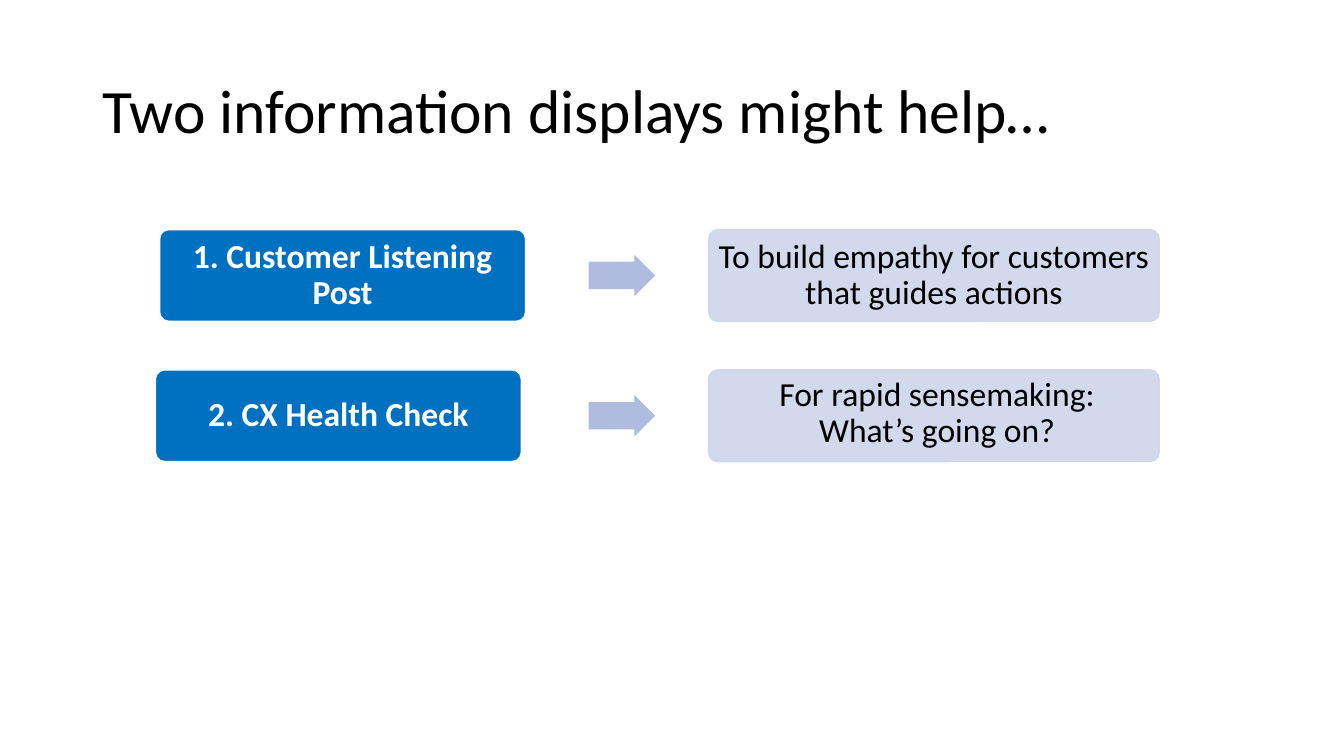
"""Build a slide pairing two information displays with their purposes."""
from dataclasses import dataclass

import pptx
import pptx.dml.color
import pptx.dml.fill
import pptx.enum.shapes
import pptx.enum.text
import pptx.oxml
import pptx.oxml.ns
import pptx.shapes.autoshape
import pptx.slide
import pptx.text.text
import pptx.util

Pt = pptx.util.Pt
RGBColor = pptx.dml.color.RGBColor
SHAPE = pptx.enum.shapes.MSO_SHAPE

BLACK = RGBColor(0x00, 0x00, 0x00)
WHITE = RGBColor(0xFF, 0xFF, 0xFF)
BLUE = RGBColor(0x00, 0x70, 0xC0)
LAVENDER = RGBColor(0xCF, 0xD5, 0xEA)
ARROW_BLUE = RGBColor(0xB0, 0xBC, 0xDE)

FONT = "Calibri"
FIRST_ROW_TOP = 164
ROW_STEP = 100.2
BOX_HEIGHT = 65.5
DISPLAY_WIDTH = 261.4
PURPOSE_LEFT, PURPOSE_WIDTH = 506.2, 321.8
ARROW_LEFT, ARROW_WIDTH, ARROW_HEIGHT = 420.5, 47.5, 29.5


@dataclass(frozen=True)
class BoxStyle:
    """Colours and weight of a rounded box."""

    fill: RGBColor
    line: RGBColor
    text: RGBColor
    bold: bool
    opacity: int


@dataclass(frozen=True)
class DisplayRow:
    """One information display and the purpose it serves."""

    display: str
    display_left: float
    purpose: str
    purpose_insets: tuple[float, float, float, float]


DISPLAY_STYLE = BoxStyle(BLUE, WHITE, WHITE, True, 100)
PURPOSE_STYLE = BoxStyle(LAVENDER, LAVENDER, BLACK, False, 90)
DISPLAY_INSETS = (2, 2, 2, 2)

ROWS = [
    DisplayRow("1. Customer Listening Post", 114,
               "To build empathy for customers that guides actions", (2, 0, 2, 0)),
    DisplayRow("2. CX Health Check", 111,
               "For rapid sensemaking: What’s going on?", (25.5, 0, 21, 3)),
]


def format_paragraph(para: pptx.text.text._Paragraph, size: float,
                     colour: RGBColor, bold: bool = False) -> None:
    """Apply the slide's font and line spacing to a paragraph."""
    para.line_spacing = 0.9
    for span in para.runs:
        span.font.name = FONT
        span.font.size = Pt(size)
        span.font.bold = bold
        span.font.color.rgb = colour


def set_opacity(shape: pptx.shapes.autoshape.Shape, percent: int) -> None:
    """Make the fill and line of a shape partly transparent."""
    for colour in shape._element.spPr.iter(pptx.oxml.ns.qn("a:srgbClr")):
        alpha = pptx.oxml.parse_xml(
            f'<a:alpha {pptx.oxml.ns.nsdecls("a")} val="{percent * 1000}"/>')
        colour.append(alpha)


def add_box(page: pptx.slide.Slide, left: float, top: float, width: float,
            text: str, insets: tuple[float, float, float, float],
            style: BoxStyle) -> None:
    """Draw a rounded box with centred text."""
    box = page.shapes.add_shape(SHAPE.ROUNDED_RECTANGLE, Pt(left), Pt(top),
                                Pt(width), Pt(BOX_HEIGHT))
    box.adjustments[0] = 0.1
    box.shadow.inherit = False
    box.fill.solid()
    box.fill.fore_color.rgb = style.fill
    box.line.color.rgb = style.line
    box.line.width = Pt(1)
    if style.opacity < 100:
        set_opacity(box, style.opacity)
    frame = box.text_frame
    frame.text = text
    frame.word_wrap = True
    frame.vertical_anchor = pptx.enum.text.MSO_ANCHOR.MIDDLE
    (frame.margin_left, frame.margin_top,
     frame.margin_right, frame.margin_bottom) = map(Pt, insets)
    para = frame.paragraphs[0]
    para.alignment = pptx.enum.text.PP_ALIGN.CENTER
    format_paragraph(para, 24, style.text, style.bold)


def add_arrow(page: pptx.slide.Slide, row_top: float) -> None:
    """Draw the arrow centred on a row."""
    top = row_top + (BOX_HEIGHT - ARROW_HEIGHT) / 2
    arrow = page.shapes.add_shape(SHAPE.RIGHT_ARROW, Pt(ARROW_LEFT), Pt(top),
                                  Pt(ARROW_WIDTH), Pt(ARROW_HEIGHT))
    arrow.adjustments[0] = 0.667
    arrow.adjustments[1] = 0.5
    arrow.shadow.inherit = False
    arrow.fill.solid()
    arrow.fill.fore_color.rgb = ARROW_BLUE
    arrow.line.fill.background()


def add_title(page: pptx.slide.Slide, text: str) -> None:
    """Write the slide heading."""
    box = page.shapes.add_textbox(Pt(66), Pt(28.8), Pt(864), Pt(104.4))
    frame = box.text_frame
    frame.text = text
    frame.word_wrap = True
    frame.vertical_anchor = pptx.enum.text.MSO_ANCHOR.MIDDLE
    format_paragraph(frame.paragraphs[0], 44, BLACK)


def main() -> None:
    """Build and save the deck."""
    deck = pptx.Presentation()
    deck.slide_width, deck.slide_height = Pt(960), Pt(540)
    page = deck.slides.add_slide(deck.slide_layouts[6])
    add_title(page, "Two information displays might help…")
    for index, row in enumerate(ROWS):
        top = FIRST_ROW_TOP + index * ROW_STEP
        add_box(page, row.display_left, top, DISPLAY_WIDTH, row.display,
                DISPLAY_INSETS, DISPLAY_STYLE)
        add_arrow(page, top)
        add_box(page, PURPOSE_LEFT, top, PURPOSE_WIDTH, row.purpose,
                row.purpose_insets, PURPOSE_STYLE)
    deck.save("out.pptx")


if __name__ == "__main__":
    main()
